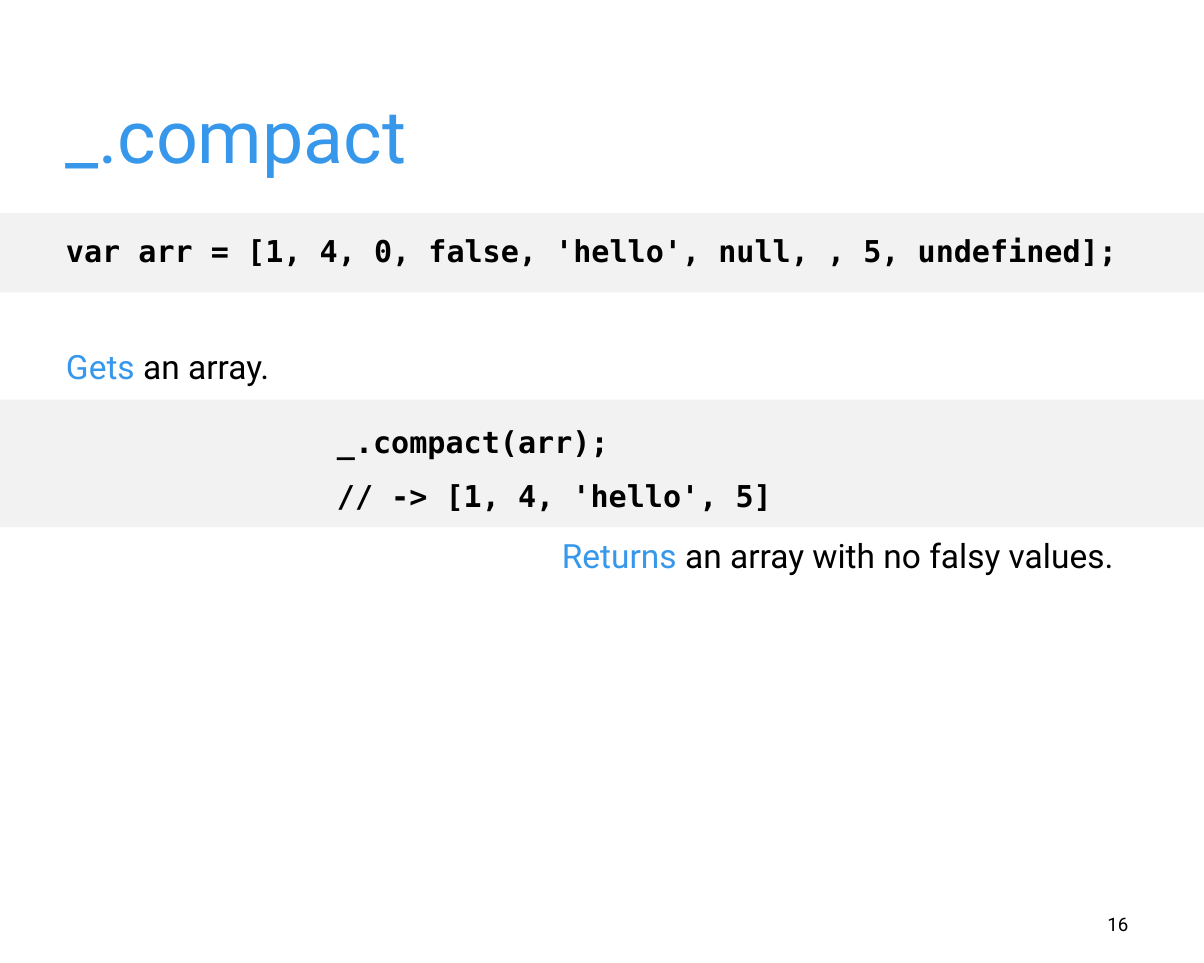
from pptx import Presentation
from pptx.dml.color import RGBColor
from pptx.enum.shapes import MSO_SHAPE
from pptx.enum.text import MSO_ANCHOR, MSO_AUTO_SIZE, PP_ALIGN
from pptx.util import Pt

PX = 9144  # 100 px to the inch
COLORS = {"blue": "3798EB", "black": "000000", "band": "F2F2F2"}
SANS, MONO = "Roboto", "DejaVu Sans Mono"


def color(name):
    return RGBColor.from_string(COLORS[name])


def place(shape, box):
    shape.left, shape.top, shape.width, shape.height = [n * PX for n in box]


def write(shape, *parts, size=20, font=SANS, bold=False, space=0.9,
          align=PP_ALIGN.LEFT, anchor=MSO_ANCHOR.TOP):
    """Fill one paragraph with (text, color name) parts."""
    frame = shape.text_frame
    frame.word_wrap = True
    frame.auto_size = MSO_AUTO_SIZE.NONE
    frame.vertical_anchor = anchor
    para = frame.paragraphs[0]
    para.alignment = align
    para.line_spacing = space
    for text, tint in parts:
        for row, line in enumerate(text.split("\n")):
            if row:
                para.add_line_break()
            run = para.add_run()
            run.text = line
            run.font.name = font
            run.font.size = Pt(size)
            run.font.bold = bold
            run.font.color.rgb = color(tint)


def add_text(slide, box, *parts, **style):
    shape = slide.shapes.add_textbox(*[n * PX for n in box])
    write(shape, *parts, **style)


def add_code(slide, box, text, space=1.0):
    add_text(slide, box, (text, "black"), size=18, font=MONO, bold=True, space=space)


def add_band(slide, top, height):
    band = slide.shapes.add_shape(
        MSO_SHAPE.RECTANGLE, 0, top * PX, 1000 * PX, height * PX)
    band.shadow.inherit = False
    band.fill.solid()
    band.fill.fore_color.rgb = color("band")
    band.line.fill.background()


def main():
    deck = Presentation()
    deck.slide_width, deck.slide_height = 1000 * PX, 800 * PX
    slide = deck.slides.add_slide(deck.slide_layouts[5])

    title = slide.shapes.title
    place(title, (44, 78, 739, 76))
    write(title, ("_.compact", "blue"), size=44, anchor=MSO_ANCHOR.MIDDLE)

    add_band(slide, 177, 66)
    add_code(slide, (45, 188, 970, 82),
             "var arr = [1, 4, 0, false, 'hello', null, , 5, undefined];")
    add_text(slide, (45, 286, 890, 46), ("Gets ", "blue"), ("an array.", "black"))

    add_band(slide, 332, 106)
    add_code(slide, (270, 332, 826, 82),
             "_.compact(arr);\n// -> [1, 4, 'hello', 5]", space=1.5)
    add_text(slide, (45, 443, 890, 131), ("Returns ", "blue"),
             ("an array with no falsy values.", "black"), align=PP_ALIGN.RIGHT)

    add_text(slide, (772, 753, 175, 29), ("16", "black"),
             size=11.2, space=1.0, align=PP_ALIGN.RIGHT)
    deck.save("out.pptx")


if __name__ == "__main__":
    main()
